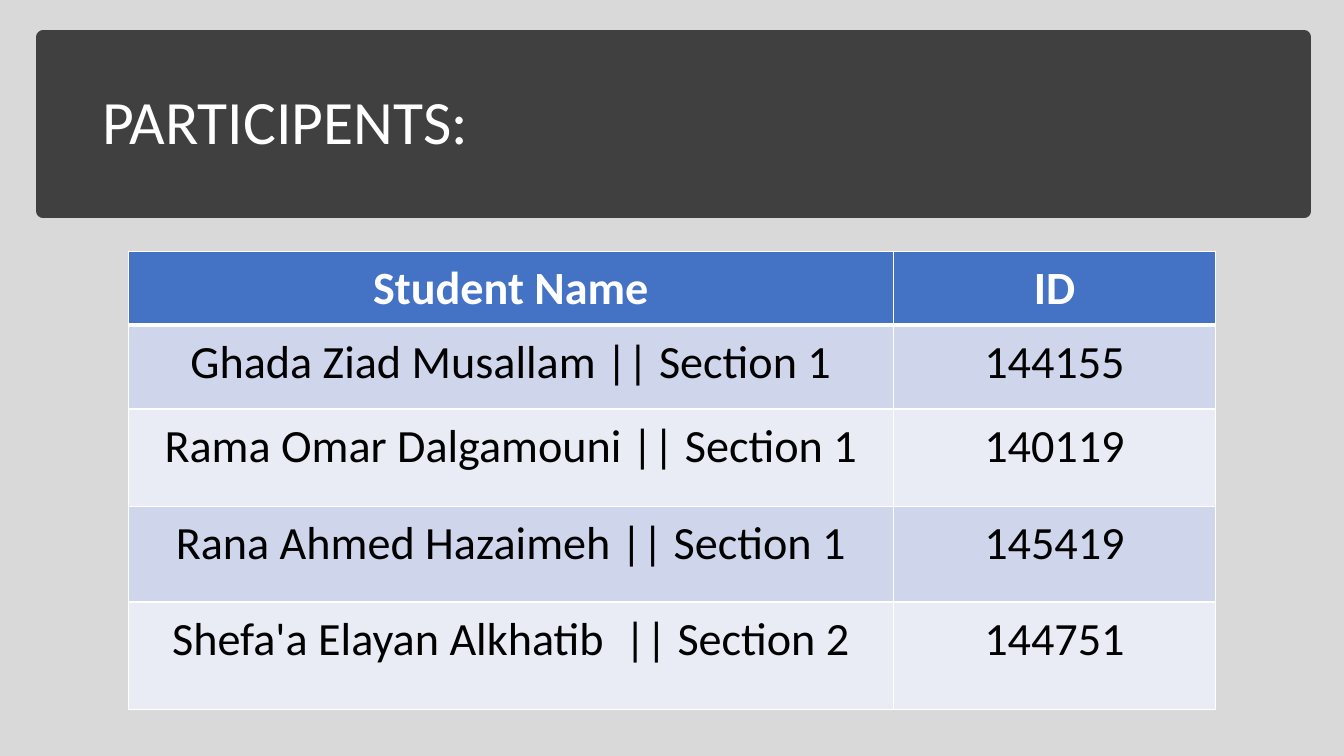
import pptx
import pptx.dml.color
import pptx.enum.shapes
import pptx.enum.text
import pptx.oxml
import pptx.oxml.ns
import pptx.util

Pt = pptx.util.Pt
Align = pptx.enum.text.PP_ALIGN
Anchor = pptx.enum.text.MSO_ANCHOR


def tint(code):
    return pptx.dml.color.RGBColor.from_string(code)


class Deck:
    font = "Calibri"
    dark, white, black = "404040", "FFFFFF", "000000"
    head, bands = "4472C4", ("CFD5EA", "E9EBF5")

    def __init__(self, slide):
        self.slide = slide

    def back(self, code):
        fill = self.slide.background.fill
        fill.solid()
        fill.fore_color.rgb = tint(code)

    def style(self, para, size, code, bold=False):
        para.font.name = self.font
        para.font.size = Pt(size)
        para.font.bold = bold
        para.font.color.rgb = tint(code)

    def rect(self, x, y, w, h, code):
        kind = pptx.enum.shapes.MSO_SHAPE.RECTANGLE
        shape = self.slide.shapes.add_shape(kind, Pt(x), Pt(y), Pt(w), Pt(h))
        shape.shadow.inherit = False
        shape.fill.solid()
        shape.fill.fore_color.rgb = tint(code)
        shape.line.color.rgb = tint(code)
        shape.line.width = Pt(10)

    def text(self, x, y, w, h, words, size, code):
        box = self.slide.shapes.add_textbox(Pt(x), Pt(y), Pt(w), Pt(h))
        frame = box.text_frame
        frame.word_wrap = True
        frame.vertical_anchor = Anchor.MIDDLE
        para = frame.paragraphs[0]
        para.text = words
        para.line_spacing = 0.9
        self.style(para, size, code)

    def edge(self, cell, side, width):
        space = pptx.oxml.ns.nsdecls("a")
        line = pptx.oxml.parse_xml(
            f'<a:ln{side} {space} w="{Pt(width)}"><a:solidFill>'
            f'<a:srgbClr val="{self.white}"/></a:solidFill></a:ln{side}>')
        cell._tc.get_or_add_tcPr().append(line)

    def cell(self, cell, words, row):
        first = row == 0
        cell.margin_left = cell.margin_right = Pt(13)
        cell.margin_top = cell.margin_bottom = Pt(6.5)
        # The rule below the header is thicker than the others
        widths = {"L": 1, "R": 1, "T": 3 if row == 1 else 1, "B": 3 if first else 1}
        for side, width in widths.items():
            self.edge(cell, side, width)
        cell.fill.solid()
        cell.fill.fore_color.rgb = tint(self.head if first else self.bands[(row - 1) % 2])
        para = cell.text_frame.paragraphs[0]
        para.text = words
        para.alignment = Align.CENTER
        self.style(para, 33, self.white if first else self.black, first)

    def table(self, x, y, cols, highs, rows):
        grid = self.slide.shapes.add_table(
            len(rows), len(cols), Pt(x), Pt(y), Pt(sum(cols)), Pt(sum(highs))).table
        for col, width in zip(grid.columns, cols):
            col.width = Pt(width)
        for r, (high, row) in enumerate(zip(highs, rows)):
            grid.rows[r].height = Pt(high)
            for c, words in enumerate(row):
                self.cell(grid.cell(r, c), words, r)


def main():
    show = pptx.Presentation()
    show.slide_width, show.slide_height = Pt(960), Pt(540)
    deck = Deck(show.slides.add_slide(show.slide_layouts[6]))

    # Background and title band
    deck.back("D9D9D9")
    deck.rect(31, 26.5, 900.5, 124.5, deck.dark)
    deck.text(66, 36.5, 828, 104.5, "PARTICIPENTS:", 44, deck.white)

    # Students
    rows = [
        ("Student Name", "ID"),
        ("Ghada Ziad Musallam || Section 1", "144155"),
        ("Rama Omar Dalgamouni || Section 1", "140119"),
        ("Rana Ahmed Hazaimeh || Section 1", "145419"),
        ("Shefa'a Elayan Alkhatib  || Section 2", "144751"),
    ]
    deck.table(92, 179.5, (546, 230.5), (47, 60, 69.5, 68.5, 77), rows)

    show.save("out.pptx")


if __name__ == "__main__":
    main()
